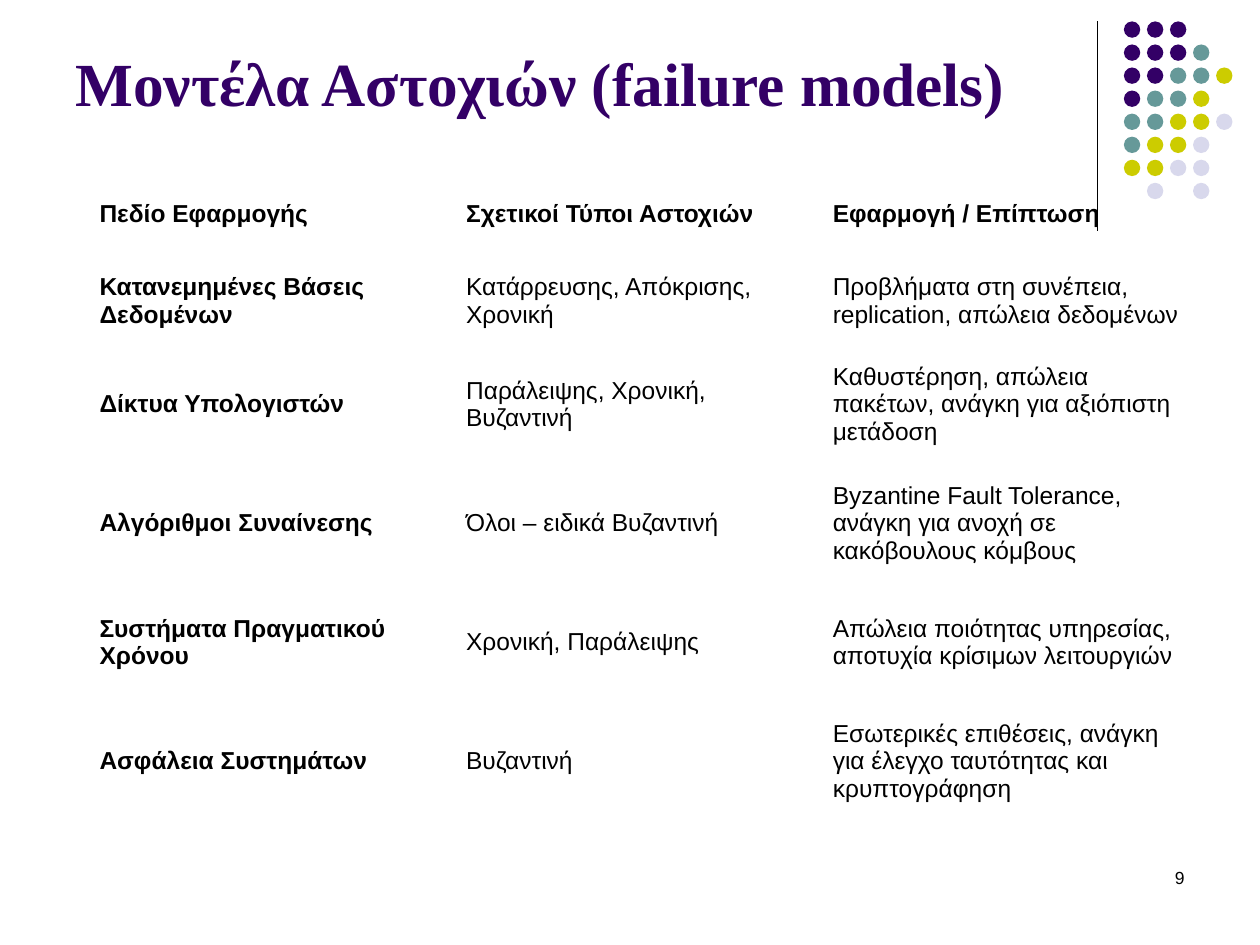
from pptx import Presentation
from pptx.dml.color import RGBColor
from pptx.enum.shapes import MSO_CONNECTOR, MSO_SHAPE
from pptx.enum.text import MSO_ANCHOR, PP_ALIGN
from pptx.oxml.ns import qn
from pptx.util import Inches, Pt
from lxml import etree

BLACK = "000000"
PURPLE = "330066"
DOT_COLORS = {"P": PURPLE, "T": "669999", "Y": "CCCC00", "L": "D8D8EC"}
DOT_ROWS = ["PPP", "PPPT", "PPTTY", "PTTY", "TTYYL", "TYYL", "YYLL", " L L"]
DOT_PITCH = 0.183
DOT_SIZE = 0.13
NO_STYLE_NO_GRID = "{2D5ABB26-0587-4C30-8999-92F81FD0307C}"
COLUMN_WIDTH = 2.91
ROW_HEIGHTS = [0.57, 0.82, 0.82, 1.07, 0.82, 1.07]
FAILURE_MODELS = [
    ("Πεδίο Εφαρμογής", "Σχετικοί Τύποι Αστοχιών", "Εφαρμογή / Επίπτωση"),
    ("Κατανεμημένες Βάσεις Δεδομένων", "Κατάρρευσης, Απόκρισης, Χρονική",
     "Προβλήματα στη συνέπεια, replication, απώλεια δεδομένων"),
    ("Δίκτυα Υπολογιστών", "Παράλειψης, Χρονική, Βυζαντινή",
     "Καθυστέρηση, απώλεια πακέτων, ανάγκη για αξιόπιστη μετάδοση"),
    ("Αλγόριθμοι Συναίνεσης", "Όλοι – ειδικά Βυζαντινή",
     "Byzantine Fault Tolerance, ανάγκη για ανοχή σε κακόβουλους κόμβους"),
    ("Συστήματα Πραγματικού Χρόνου", "Χρονική, Παράλειψης",
     "Απώλεια ποιότητας υπηρεσίας, αποτυχία κρίσιμων λειτουργιών"),
    ("Ασφάλεια Συστημάτων", "Βυζαντινή",
     "Εσωτερικές επιθέσεις, ανάγκη για έλεγχο ταυτότητας και κρυπτογράφηση"),
]


def rgb(color):
    return RGBColor.from_string(color)


def style_font(font, size, color=BLACK, bold=False, name="Arial"):
    font.name = name
    font.size = Pt(size)
    font.bold = bold
    font.color.rgb = rgb(color)


def add_text(slide, text, left, top, width, height, anchor=MSO_ANCHOR.TOP,
             align=PP_ALIGN.LEFT, **font_style):
    box = slide.shapes.add_textbox(Inches(left), Inches(top), Inches(width), Inches(height))
    frame = box.text_frame
    frame.word_wrap = True
    frame.vertical_anchor = anchor
    paragraph = frame.paragraphs[0]
    paragraph.text = text
    paragraph.alignment = align
    style_font(paragraph.font, **font_style)


def add_divider(slide, x, top, bottom):
    line = slide.shapes.add_connector(
        MSO_CONNECTOR.STRAIGHT, Inches(x), Inches(top), Inches(x), Inches(bottom))
    line.line.color.rgb = rgb(BLACK)
    line.line.width = Pt(0.75)
    etree.SubElement(line._element.spPr, qn("a:effectLst"))


def add_dots(slide, left, top):
    group = slide.shapes.add_group_shape()
    for row, letters in enumerate(DOT_ROWS):
        for column, letter in enumerate(letters):
            if letter == " ":
                continue
            dot = group.shapes.add_shape(
                MSO_SHAPE.OVAL, Inches(left + column * DOT_PITCH),
                Inches(top + row * DOT_PITCH), Inches(DOT_SIZE), Inches(DOT_SIZE))
            dot.shadow.inherit = False
            dot.fill.solid()
            dot.fill.fore_color.rgb = rgb(DOT_COLORS[letter])
            dot.line.fill.background()


def fill_cell(cell, text, bold):
    cell.fill.background()
    cell.vertical_anchor = MSO_ANCHOR.MIDDLE
    cell.margin_left = cell.margin_right = Inches(0.08)
    cell.margin_top = cell.margin_bottom = Inches(0.05)
    paragraph = cell.text_frame.paragraphs[0]
    paragraph.text = text
    style_font(paragraph.font, 14, bold=bold)


def add_failure_table(slide, left, top):
    columns = len(FAILURE_MODELS[0])
    table = slide.shapes.add_table(
        len(FAILURE_MODELS), columns, Inches(left), Inches(top),
        Inches(columns * COLUMN_WIDTH), Inches(sum(ROW_HEIGHTS))).table
    table.first_row = table.horz_banding = False
    table._tbl.tblPr.find(qn("a:tableStyleId")).text = NO_STYLE_NO_GRID
    for column in table.columns:
        column.width = Inches(COLUMN_WIDTH)
    for r, (height, texts) in enumerate(zip(ROW_HEIGHTS, FAILURE_MODELS)):
        table.rows[r].height = Inches(height)
        for c, text in enumerate(texts):
            fill_cell(table.cell(r, c), text, bold=r == 0 or c == 0)


def main():
    presentation = Presentation()
    presentation.slide_width = Inches(10)
    presentation.slide_height = Inches(7.5)
    slide = presentation.slides.add_slide(presentation.slide_layouts[6])
    add_divider(slide, 8.71, 0.17, 1.83)
    add_dots(slide, 8.92, 0.17)
    add_text(slide, "9", 7.17, 6.83, 2.33, 0.5, align=PP_ALIGN.RIGHT, size=10)
    add_text(slide, "Μοντέλα Αστοχιών (failure models)", 0.5, 0.13, 8.25, 0.86,
             anchor=MSO_ANCHOR.BOTTOM, size=35, color=PURPLE, bold=True,
             name="Times New Roman")
    add_failure_table(slide, 0.71, 1.41)
    presentation.save("out.pptx")


if __name__ == "__main__":
    main()
